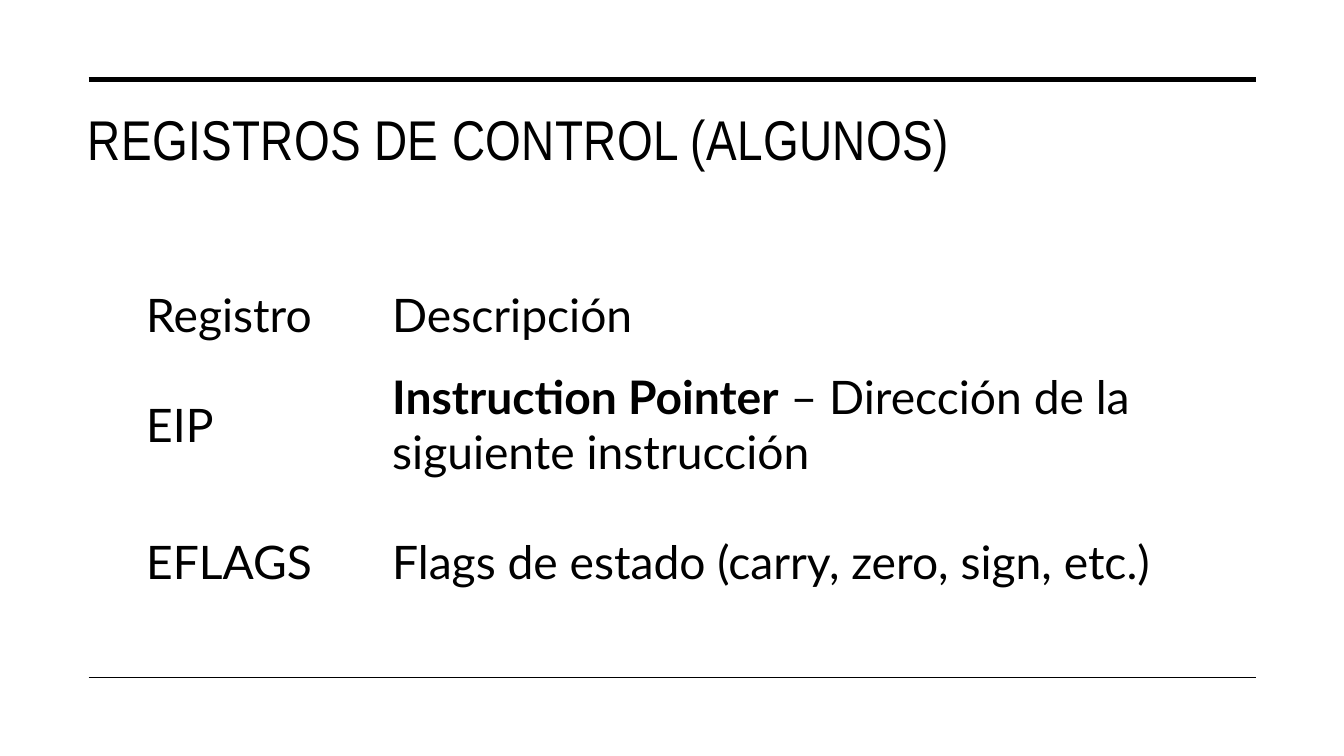
"""Build the slide on control registers with its title, rules and table."""
from lxml import etree
from pptx import Presentation
from pptx.dml.color import RGBColor
from pptx.enum import shapes, text
from pptx.oxml import ns
from pptx.util import Inches, Pt

BLACK = "000000"


def rgb(value):
    return RGBColor.from_string(value)


def style(p, name, size):
    p.font.name = name
    p.font.size = Pt(size)
    p.font.color.rgb = rgb(BLACK)
    p.alignment = text.PP_ALIGN.LEFT


prs = Presentation()
prs.slide_width, prs.slide_height = Inches(13.33), Inches(7.5)
s = prs.slides.add_slide(prs.slide_layouts[5])

title = s.shapes.title
title.left, title.top = Inches(0.77), Inches(0.99)
title.width, title.height = Inches(11.69), Inches(1.26)
tf = title.text_frame
tf.text = "REGISTROS DE CONTROL (ALGUNOS)"
tf.word_wrap = True
tf.auto_size = text.MSO_AUTO_SIZE.NONE
tf.vertical_anchor = text.MSO_ANCHOR.TOP
p = tf.paragraphs[0]
style(p, "Arial Narrow", 40)
p.runs[0]._r.get_or_add_rPr().set("spc", "30")

for y, weight in ((0.79, 3.5), (6.72, 1)):
    rule = s.shapes.add_connector(
        shapes.MSO_CONNECTOR.STRAIGHT,
        Inches(0.88), Inches(y), Inches(12.46), Inches(y))
    rule.line.color.rgb = rgb(BLACK)
    rule.line.width = Pt(weight)
    etree.SubElement(rule._element.spPr, ns.qn("a:effectLst"))

rows = [
    ("Registro", "", "Descripción"),
    ("EIP", "Instruction Pointer", " – Dirección de la siguiente instrucción"),
    ("EFLAGS", "", "Flags de estado (carry, zero, sign, etc.)"),
]
table = s.shapes.add_table(
    len(rows), 2, Inches(1.27), Inches(2.72), Inches(10.68), Inches(3.53)).table
table.first_row = table.horz_banding = False
for column, width in zip(table.columns, (2.44, 8.24)):
    column.width = Inches(width)
for row, height, (register, term, description) in zip(
        table.rows, (0.81, 1.36, 1.36), rows):
    row.height = Inches(height)
    for cell, bold, plain in zip(row.cells, ("", term), (register, description)):
        cell.fill.background()
        cell.vertical_anchor = text.MSO_ANCHOR.MIDDLE
        cell.margin_left = cell.margin_right = Inches(0.18)
        cell.margin_top = cell.margin_bottom = Inches(0.09)
        p = cell.text_frame.paragraphs[0]
        style(p, "Lato", 33)
        if bold:
            r = p.add_run()
            r.text = bold
            r.font.bold = True
        p.add_run().text = plain

prs.save("out.pptx")
